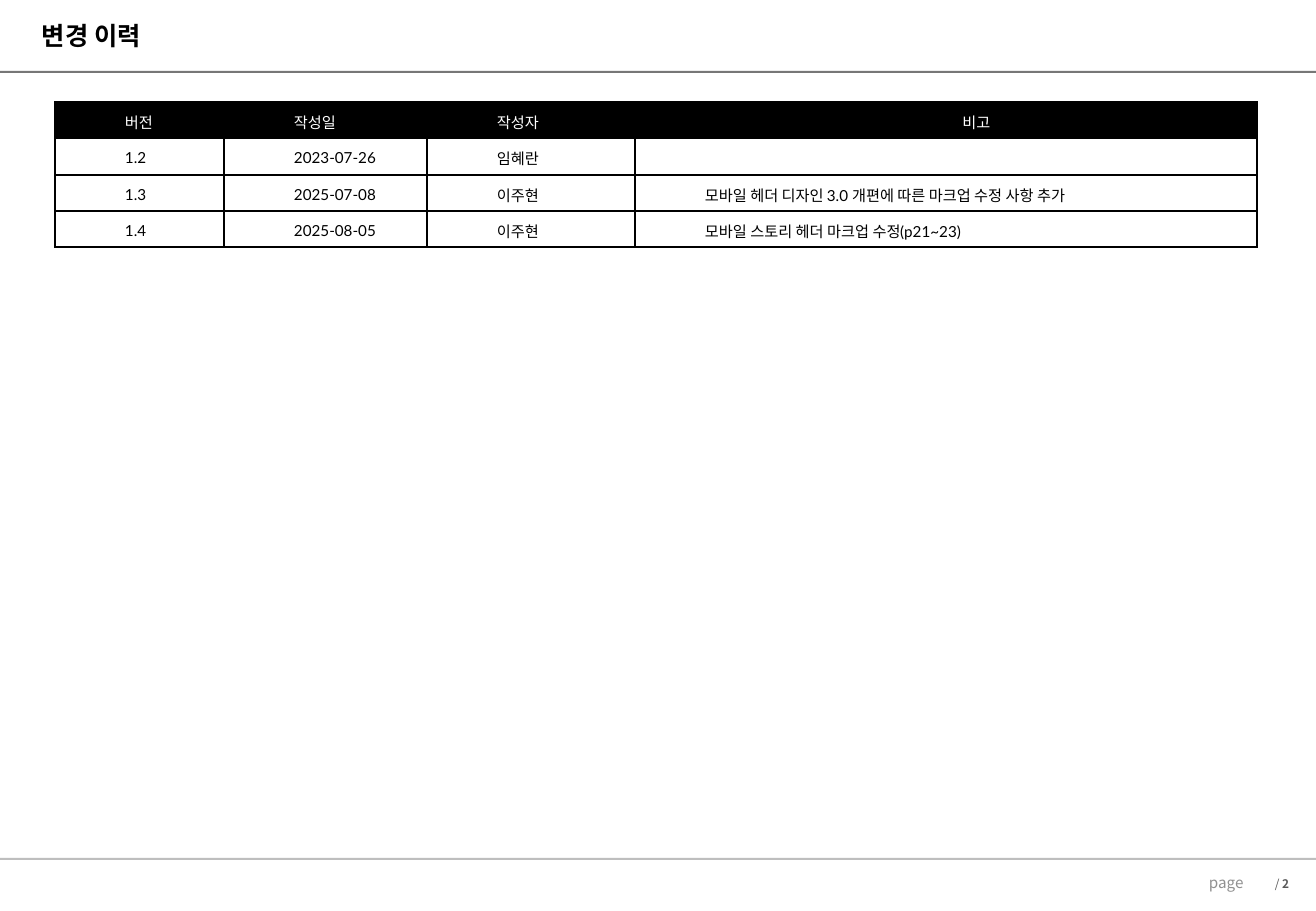
from lxml.etree import SubElement
from pptx import Presentation
from pptx.dml.color import RGBColor
from pptx.enum.shapes import MSO_SHAPE
from pptx.enum.text import MSO_ANCHOR, PP_ALIGN
from pptx.oxml import parse_xml
from pptx.oxml.ns import nsdecls, qn
from pptx.util import Pt

TITLE = "변경 이력"
HISTORY = [
    ("버전", "작성일", "작성자", "비고"),
    ("1.2", "2023-07-26", "임혜란", ""),
    ("1.3", "2025-07-08", "이주현", "모바일 헤더 디자인 3.0 개편에 따른 마크업 수정 사항 추가"),
    ("1.4", "2025-08-05", "이주현", "모바일 스토리 헤더 마크업 수정(p21~23)"),
]
PAGE_LABEL = "page"
PAGE_NUMBER = ("/ ", "2")

THEME = {
    "black": "000000", "white": "FFFFFF", "header_rule": "777777",
    "footer_rule": "BEBEBE", "label": "909090", "number": "595959",
    "korean": "Noto Sans CJK KR", "latin": "Lato", "header_latin": "Arial",
    "title_size": 15, "body_size": 9, "number_size": 7, "border": 1,
}

PX = 7526
SLIDE_W, SLIDE_H = 1316, 911
RULES = [(71, 2, "header_rule"), (858, 2, "footer_rule"), (860, 1, "white")]
TABLE_X, TABLE_Y = 55, 102
COLUMNS = [169, 203, 208, 622]
ROWS = [36, 37, 36, 36]
CELL_INDENT, CELL_INSET = 61, 9


def px(n):
    return n * PX


def color(name):
    return RGBColor.from_string(THEME[name])


def add_run(p, text, size, ink, font="korean", bold=False):
    r = p.add_run()
    r.text = text
    r.font.size = Pt(THEME[size])
    r.font.bold = bold
    r.font.color.rgb = color(ink)
    r.font.name = THEME[font]
    SubElement(r.font._element, qn("a:ea"), typeface=THEME["korean"])


def add_rule(s, y, height, ink):
    sp = s.shapes.add_shape(MSO_SHAPE.RECTANGLE, 0, px(y), px(SLIDE_W), px(height))
    sp.shadow.inherit = False
    sp.fill.solid()
    sp.fill.fore_color.rgb = color(ink)
    sp.line.fill.background()


def add_text(s, x, y, w, h, anchor=MSO_ANCHOR.TOP):
    """Add an empty text box and return its first paragraph."""
    tf = s.shapes.add_textbox(px(x), px(y), px(w), px(h)).text_frame
    tf.word_wrap = True
    tf.vertical_anchor = anchor
    return tf.paragraphs[0]


def set_borders(cell):
    tcPr = cell._tc.get_or_add_tcPr()
    for i, side in enumerate("LRTB"):
        tcPr.insert(i, parse_xml(
            f'<a:ln{side} {nsdecls("a")} w="{Pt(THEME["border"])}"><a:solidFill>'
            f'<a:srgbClr val="{THEME["black"]}"/></a:solidFill></a:ln{side}>'))


def fill_cell(cell, text, row, col):
    header = row == 0
    cell.vertical_anchor = MSO_ANCHOR.MIDDLE
    cell.margin_left = cell.margin_right = px(CELL_INSET)
    cell.margin_top = cell.margin_bottom = 0
    set_borders(cell)
    if header:
        cell.fill.solid()
        cell.fill.fore_color.rgb = color("black")
    else:
        cell.fill.background()
    p = cell.text_frame.paragraphs[0]
    p.line_spacing = 1.15
    p.space_after = Pt(10)
    pPr = p._p.get_or_add_pPr()
    pPr.set("marL", str(px(CELL_INDENT)))
    pPr.set("indent", "0")
    if header and col == len(COLUMNS) - 1:
        p.alignment = PP_ALIGN.CENTER
    font = "header_latin" if header and col in (1, 2) else "latin"
    add_run(p, text, "body_size", "white" if header else "black", font)


def add_history(s):
    table = s.shapes.add_table(len(ROWS), len(COLUMNS), px(TABLE_X), px(TABLE_Y),
                               px(sum(COLUMNS)), px(sum(ROWS))).table
    table.first_row = table.horz_banding = False
    for column, width in zip(table.columns, COLUMNS):
        column.width = px(width)
    for i, (height, texts) in enumerate(zip(ROWS, HISTORY)):
        table.rows[i].height = px(height)
        for j, text in enumerate(texts):
            fill_cell(table.cell(i, j), text, i, j)


def main():
    prs = Presentation()
    prs.slide_width, prs.slide_height = px(SLIDE_W), px(SLIDE_H)
    s = prs.slides.add_slide(prs.slide_layouts[6])
    for rule in RULES:
        add_rule(s, *rule)

    add_run(add_text(s, 1197, 867, 72, 31), PAGE_LABEL, "body_size", "label")
    p = add_text(s, 829, 867, 472, 33, anchor=MSO_ANCHOR.MIDDLE)
    p.alignment = PP_ALIGN.RIGHT
    for text, bold in zip(PAGE_NUMBER, (False, True)):
        add_run(p, text, "number_size", "number", bold=bold)

    add_run(add_text(s, 30, 14, 1273, 57), TITLE, "title_size", "black", bold=True)
    add_history(s)
    prs.save("out.pptx")


if __name__ == "__main__":
    main()
